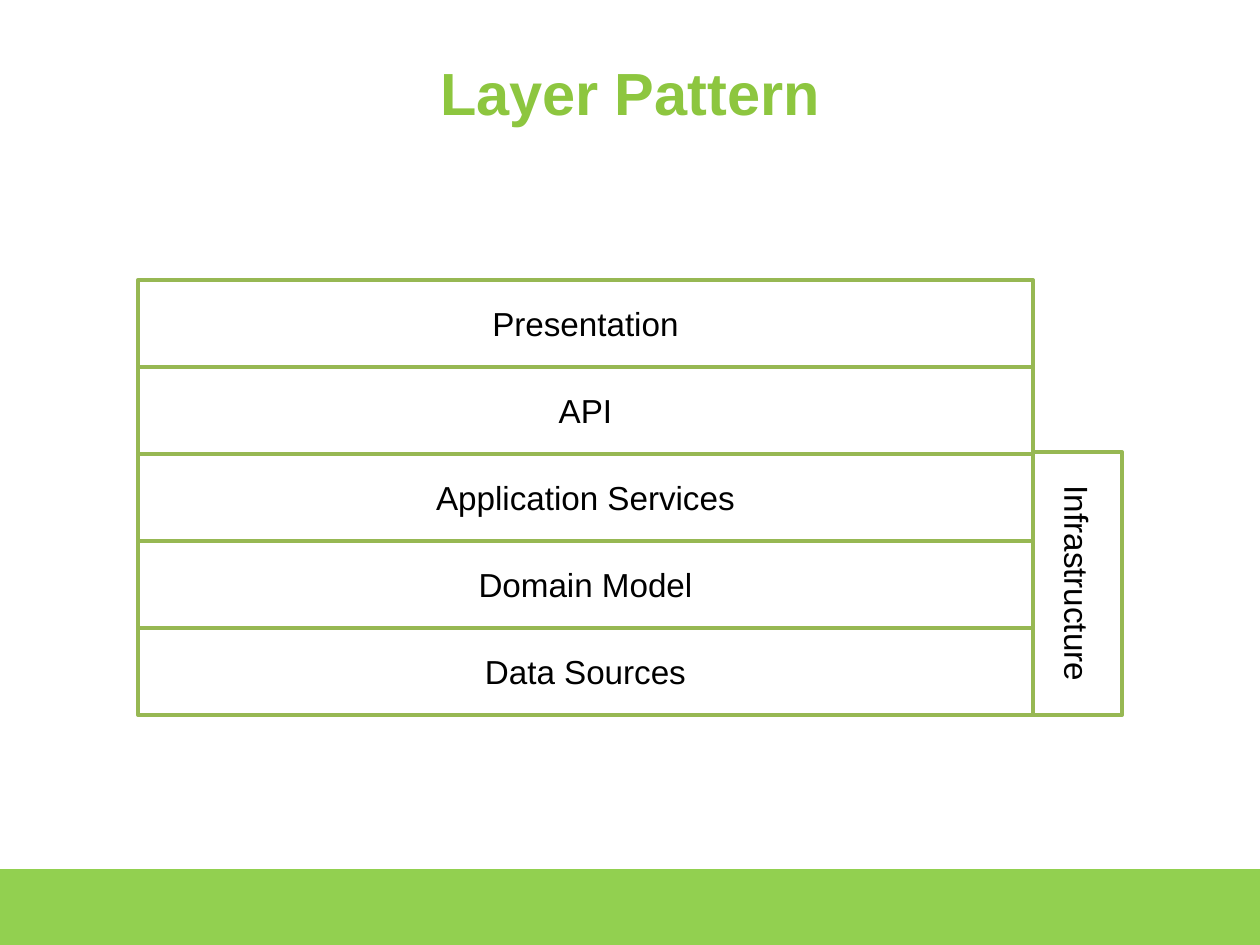
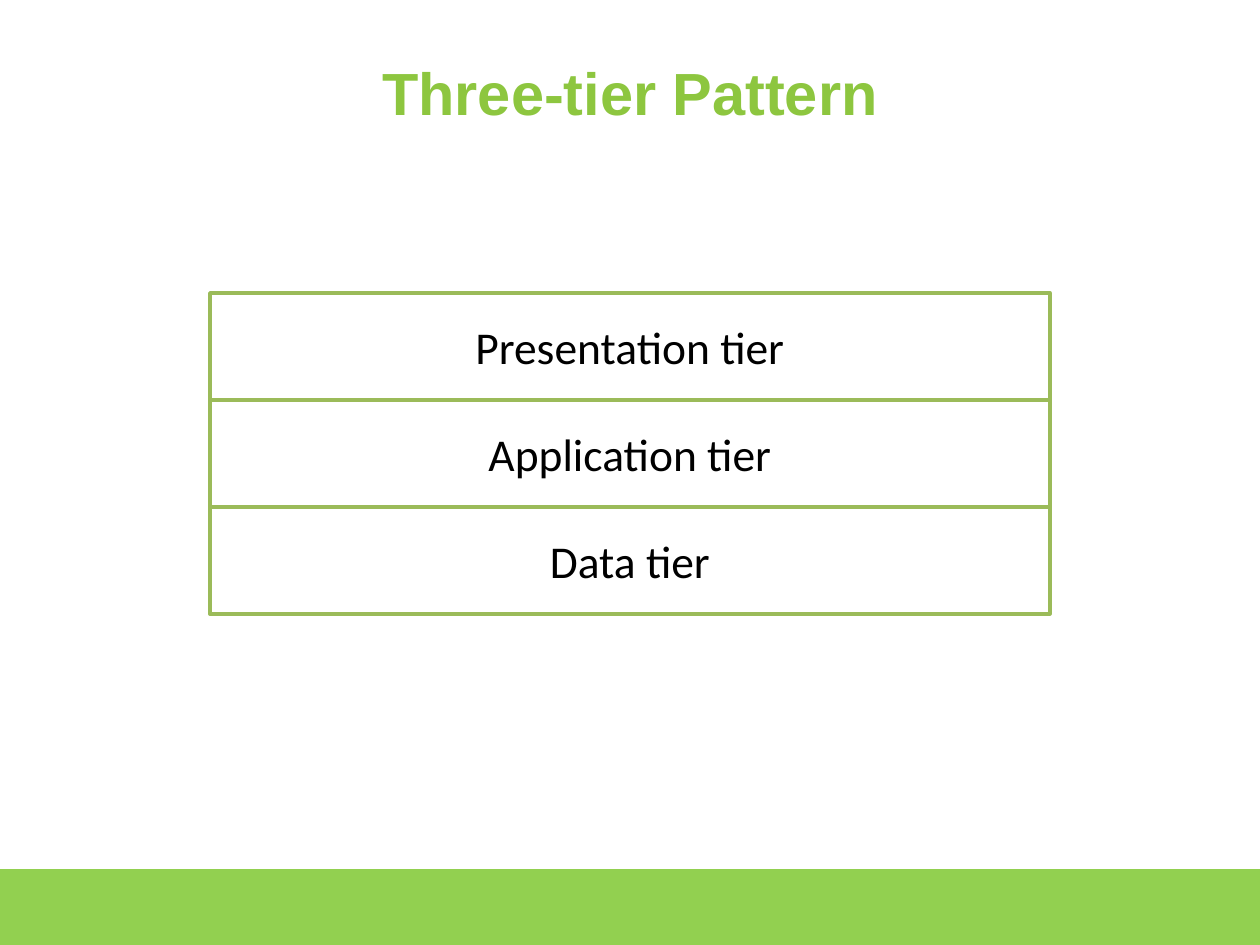
from pptx import Presentation
from pptx.dml.color import RGBColor
from pptx.enum.shapes import MSO_SHAPE as SHAPE
from pptx.enum.text import MSO_ANCHOR as ANCHOR, MSO_AUTO_SIZE as AUTO, PP_ALIGN as ALIGN
from pptx.util import Emu, Pt

SCALE = 914400 / 126
WIDTH, HEIGHT = 1260, 945
TITLE_ONLY = 5

BAND = "92D050"
TITLE = "8DC63F"
TEXT = "000000"
WHITE = "FFFFFF"

LAYER_STYLE = dict(font="Arial", size=19, line="97B853", weight=2.25)
TIER_STYLE = dict(font="Calibri", size=26, line="9BBB59", weight=2, fill=WHITE)


def px(n):
    return Emu(round(n * SCALE))


def rgb(color):
    return RGBColor.from_string(color)


def write(sp, text, font, size, color, bold=False):
    tf = sp.text_frame
    tf.text = text
    tf.word_wrap = True
    tf.auto_size = AUTO.NONE
    tf.vertical_anchor = ANCHOR.MIDDLE
    p = tf.paragraphs[0]
    p.alignment = ALIGN.CENTER
    f = p.runs[0].font
    f.name, f.size, f.bold = font, Pt(size), bold
    f.color.rgb = rgb(color)


def add_rect(s, box, fill=None, line=None, weight=1):
    sp = s.shapes.add_shape(SHAPE.RECTANGLE, *map(px, box))
    sp.shadow.inherit = False
    if fill:
        sp.fill.solid()
        sp.fill.fore_color.rgb = rgb(fill)
    else:
        sp.fill.background()
    if line:
        sp.line.color.rgb = rgb(line)
        sp.line.width = Pt(weight)
    else:
        sp.line.fill.background()
    return sp


def add_label_box(s, box, text, font, size, line, weight, fill=None):
    sp = add_rect(s, box, fill, line, weight)
    write(sp, text, font, size, TEXT)
    return sp


def add_stack(s, box, labels, style):
    x, y, w, h = box
    row = h / len(labels)
    for i, label in enumerate(labels):
        add_label_box(s, (x, y + i * row, w, row), label, **style)


def add_side_box(s, box, label, style):
    x, y, w, h = box
    turned = (x + (w - h) / 2, y + (h - w) / 2, h, w)
    add_label_box(s, turned, label, **style).rotation = 90


def add_base_slide(prs, title):
    s = prs.slides.add_slide(prs.slide_layouts[TITLE_ONLY])
    add_rect(s, (0, 869, WIDTH, 79), BAND)
    sp = s.shapes.title
    sp.left, sp.top, sp.width, sp.height = map(px, (63, 38, 1134, 107))
    write(sp, title, "Arial", 34, TITLE, bold=True)
    return s


def build_layers(prs):
    s = add_base_slide(prs, "Layer Pattern")
    labels = ["Presentation", "API", "Application Services", "Domain Model", "Data Sources"]
    add_stack(s, (138, 280, 895, 435), labels, LAYER_STYLE)
    add_side_box(s, (1033, 452, 89, 263), "Infrastructure", LAYER_STYLE)


def build_tiers(prs):
    s = add_base_slide(prs, "Three-tier Pattern")
    labels = ["Presentation tier", "Application tier", "Data tier"]
    add_stack(s, (210, 293, 840, 321), labels, TIER_STYLE)


def main():
    prs = Presentation()
    prs.slide_width, prs.slide_height = px(WIDTH), px(HEIGHT)
    build_layers(prs)
    build_tiers(prs)
    prs.save("out.pptx")


if __name__ == "__main__":
    main()
